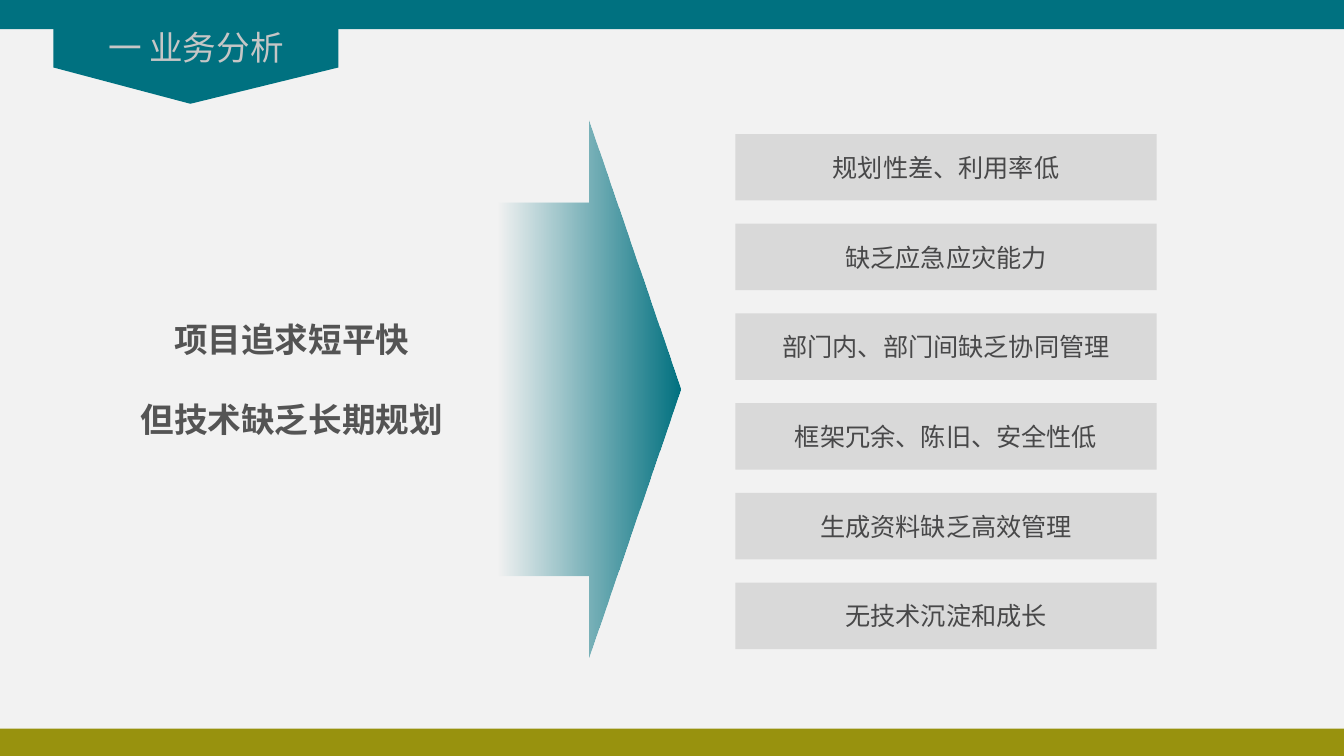
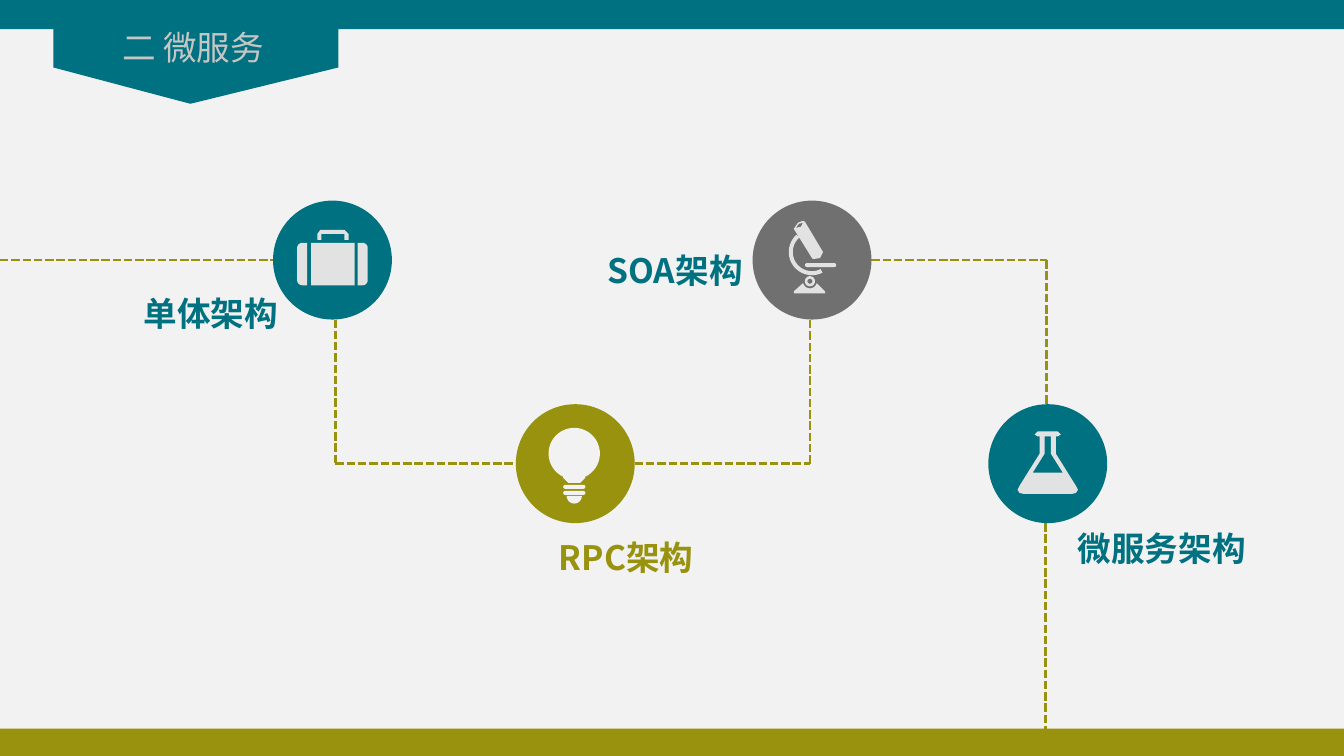
import math

import pptx
import pptx.dml.color
import pptx.enum.dml
import pptx.enum.shapes
import pptx.enum.text
import pptx.oxml
import pptx.oxml.ns
import pptx.util
from lxml import etree

RGBColor = pptx.dml.color.RGBColor
Shape = pptx.enum.shapes.MSO_SHAPE
Align = pptx.enum.text.PP_ALIGN
Anchor = pptx.enum.text.MSO_ANCHOR
qn = pptx.oxml.ns.qn

TEAL = RGBColor(0x00, 0x71, 0x80)
OLIVE = RGBColor(0x98, 0x92, 0x0E)
GRAY = RGBColor(0x70, 0x70, 0x70)
PALE = RGBColor(0xF2, 0xF2, 0xF2)
ICON = RGBColor(0xE2, 0xE2, 0xE2)
PANEL = RGBColor(0xD9, 0xD9, 0xD9)
TITLE = RGBColor(0xC6, 0xC6, 0xC6)
BODY = RGBColor(0x48, 0x48, 0x49)
STRONG = RGBColor(0x54, 0x54, 0x54)

FONT = "Noto Sans CJK SC"
CELL = pptx.util.Inches(0.1)
COLUMNS, ROWS = 133.4, 75
BAND = 2.9
FOOTER_TOP = 72.3
TITLE_ONLY = 5


def grid(*values):
    return [round(value * CELL) for value in values]


def arc(x, y, radius, start, end, steps=40):
    angles = [math.radians(start + (end - start) * i / steps) for i in range(steps + 1)]
    return [(x + radius * math.cos(a), y + radius * math.sin(a)) for a in angles]


def write(frame, text, size=24, color=BODY, bold=False, align=Align.CENTER,
          anchor=Anchor.TOP, gap=0):
    frame.text = text
    frame.word_wrap = True
    frame.auto_size = pptx.enum.text.MSO_AUTO_SIZE.NONE
    frame.vertical_anchor = anchor
    for index, para in enumerate(frame.paragraphs):
        para.alignment = align
        if index:
            para.space_before = pptx.util.Pt(gap)
        for span in para.runs:
            span.font.size = pptx.util.Pt(size)
            span.font.bold = bold
            span.font.color.rgb = color
            span.font.name = FONT
            properties = span.font._element
            etree.SubElement(properties, qn("a:ea")).set("typeface", FONT)


class Deck:
    def __init__(self):
        self.deck = pptx.Presentation()
        self.deck.slide_width, self.deck.slide_height = grid(COLUMNS, ROWS)
        fill = self.deck.slide_master.background.fill
        fill.solid()
        fill.fore_color.rgb = PALE
        self.page = None

    def start(self, title, left):
        layout = self.deck.slide_layouts[TITLE_ONLY]
        self.page = self.deck.slides.add_slide(layout)
        self.outline(TEAL, [(5.3, 2.6), (33.6, 2.6), (33.6, 6.7), (18.9, 10.3), (5.3, 6.7)])
        self.shape(Shape.RECTANGLE, 0, 0, COLUMNS, BAND, TEAL)
        box = self.page.shapes.title
        box.left, box.top, box.width, box.height = grid(left, 2.2, 29.5, 5)
        write(box.text_frame, title, color=TITLE)
        box.element.getparent().append(box.element)

    def footer(self):
        self.shape(Shape.RECTANGLE, 0, FOOTER_TOP, COLUMNS, ROWS - FOOTER_TOP, OLIVE)

    def shape(self, kind, x, y, width, height, color):
        box = self.page.shapes.add_shape(kind, *grid(x, y, width, height))
        return self.paint(box, color)

    def paint(self, box, color):
        box.shadow.inherit = False
        box.fill.solid()
        box.fill.fore_color.rgb = color
        box.line.fill.background()
        return box

    def pill(self, x, y, width, height, color):
        self.shape(Shape.ROUNDED_RECTANGLE, x, y, width, height, color).adjustments[0] = 0.5

    def outline(self, color, *contours):
        points = [[grid(*point) for point in contour] for contour in contours]
        builder = self.page.shapes.build_freeform(*points[0][0])
        for index, contour in enumerate(points):
            if index:
                builder.move_to(*contour[0])
            builder.add_line_segments(contour[1:], close=True)
        return self.paint(builder.convert_to_shape(), color)

    def panel(self, text, x, y, width, height):
        box = self.shape(Shape.RECTANGLE, x, y, width, height, PANEL)
        write(box.text_frame, text, size=18, anchor=Anchor.MIDDLE)

    def label(self, text, x, y, width, height, **style):
        box = self.page.shapes.add_textbox(*grid(x, y, width, height))
        write(box.text_frame, text, bold=True, **style)

    def fading_arrow(self, x, y, width, height, color):
        arrow = self.shape(Shape.RIGHT_ARROW, x, y, width, height, color)
        arrow.adjustments[0], arrow.adjustments[1] = 0.694, 0.5
        arrow.fill.gradient()
        arrow.fill.gradient_angle = 180
        for stop in arrow.fill.gradient_stops:
            stop.color.rgb = color
        last = list(arrow.element.spPr.iter(qn("a:srgbClr")))[-1]
        etree.SubElement(last, qn("a:alpha")).set("val", "0")

    def dashes(self, *points):
        for begin, end in zip(points, points[1:]):
            line = self.page.shapes.add_connector(
                pptx.enum.shapes.MSO_CONNECTOR.STRAIGHT, *grid(*begin, *end))
            line.line.color.rgb = OLIVE
            line.line.width = pptx.util.Pt(2)
            line.line.dash_style = pptx.enum.dml.MSO_LINE.SQUARE_DOT
            etree.SubElement(line.element.spPr, qn("a:effectLst"))

    def save(self):
        self.deck.save("out.pptx")


def draw_briefcase(deck):
    handle = [(31.5, 23.8), (31.5, 23.2), (31.8, 22.8), (34.2, 22.8), (34.6, 23.2),
              (34.6, 23.8), (34.2, 23.8), (34.2, 23.2), (31.9, 23.2), (31.9, 23.8)]
    left = (arc(30, 24.6, 0.5, 180, 270) + [(30.5, 24.1), (30.5, 28.3)]
            + arc(30, 27.8, 0.5, 90, 180))
    right = [(66 - x, y) for x, y in left]
    middle = [(30.9, 24.1), (35.2, 24.1), (35.2, 28.3), (30.9, 28.3)]
    deck.outline(ICON, handle, left, middle, right)


def draw_bulb(deck):
    globe = arc(57, 45, 2.55, 115, 425) + [(58.1, 47.4), (57.6, 47.9), (56.4, 47.9), (55.9, 47.4)]
    deck.outline(PALE, globe)
    for y in (48.1, 48.7):
        deck.pill(55.9, y, 2.2, 0.4, PALE)
    deck.outline(PALE, arc(57, 49.2, 0.75, 0, 180))


def draw_microscope(deck):
    tube = [(78.8, 22.7), (79.2, 22.1), (79.7, 21.9), (79.9, 22), (81.7, 25),
            (81.4, 25.6), (80.7, 25.7), (80.6, 25.6)]
    lens = [(79, 22.6), (79.3, 22.2), (79.7, 22.1), (79.5, 22.5)]
    arm = arc(80.6, 25, 2.3, 63, 228) + arc(80.6, 25, 1.9, 228, 63)
    wheel = arc(80.4, 27.9, 0.5, 0, 360)
    hub = arc(80.4, 27.9, 0.25, 0, 360)
    foot = ([(78.8, 29.1), (78.8, 28.9), (79.7, 28.1)] + arc(80.4, 27.9, 0.7, 165, 15)
            + [(81.9, 28.9), (81.9, 29.1)])
    deck.outline(ICON, tube, lens, arm, wheel, hub, foot)
    deck.pill(79.9, 26.1, 3.1, 0.4, ICON)


def draw_flask(deck):
    half = [(104, 42.8), (103, 42.8), (102.7, 43.1), (103, 43.3), (103.2, 43.3),
            (103.2, 45), (101.2, 48.2), (101, 48.6), (101.2, 48.9), (101.6, 49), (104, 49)]
    glass = half + [(208 - x, y) for x, y in reversed(half)]
    hollow = [(102.5, 46.9), (105.5, 46.9), (104.3, 45), (104.3, 43.3), (103.7, 43.3), (103.7, 45)]
    deck.outline(ICON, glass, hollow)


def build_analysis(deck):
    deck.start("一 业务分析", 4.7)
    deck.footer()
    problems = ["规划性差、利用率低", "缺乏应急应灾能力", "部门内、部门间缺乏协同管理",
                "框架冗余、陈旧、安全性低", "生成资料缺乏高效管理", "无技术沉淀和成长"]
    for index, problem in enumerate(problems):
        deck.panel(problem, 73, 13.3 + 8.9 * index, 41.8, 6.6)
    deck.fading_arrow(49.4, 12, 18.1, 53.2, TEAL)
    deck.label("项目追求短平快\n但技术缺乏长期规划", 12.4, 31.1, 33.1, 13.1, color=STRONG, gap=28.6)


def build_services(deck):
    deck.start("二 微服务", 4.4)
    upper, lower, radius = 25.8, 46, 5.9
    case, bulb, scope, flask = 33, 57.1, 80.6, 104
    deck.dashes((0, upper), (case - radius, upper))
    deck.dashes((33.3, upper + radius), (33.3, lower), (bulb - radius, lower))
    deck.dashes((bulb + radius, lower), (80.4, lower), (80.4, upper + radius))
    deck.dashes((scope + radius, upper), (103.9, upper), (103.9, lower - radius))
    deck.dashes((103.8, lower + radius), (103.8, FOOTER_TOP))
    deck.footer()
    stages = [
        (case, upper, TEAL, draw_briefcase, "单体架构", 7, 28.6, TEAL, Align.RIGHT),
        (bulb, lower, OLIVE, draw_bulb, "RPC架构", 54.5, 52.8, OLIVE, Align.LEFT),
        (scope, upper, GRAY, draw_microscope, "SOA架构", 53.1, 24.3, TEAL, Align.RIGHT),
        (flask, lower, TEAL, draw_flask, "微服务架构", 106, 51.9, TEAL, Align.LEFT),
    ]
    for x, y, fill, draw_icon, name, left, top, color, align in stages:
        deck.shape(Shape.OVAL, x - radius, y - radius, 2 * radius, 2 * radius, fill)
        draw_icon(deck)
        deck.label(name, left, top, 21.6, 6, color=color, align=align)


def main():
    deck = Deck()
    build_analysis(deck)
    build_services(deck)
    deck.save()


if __name__ == "__main__":
    main()
